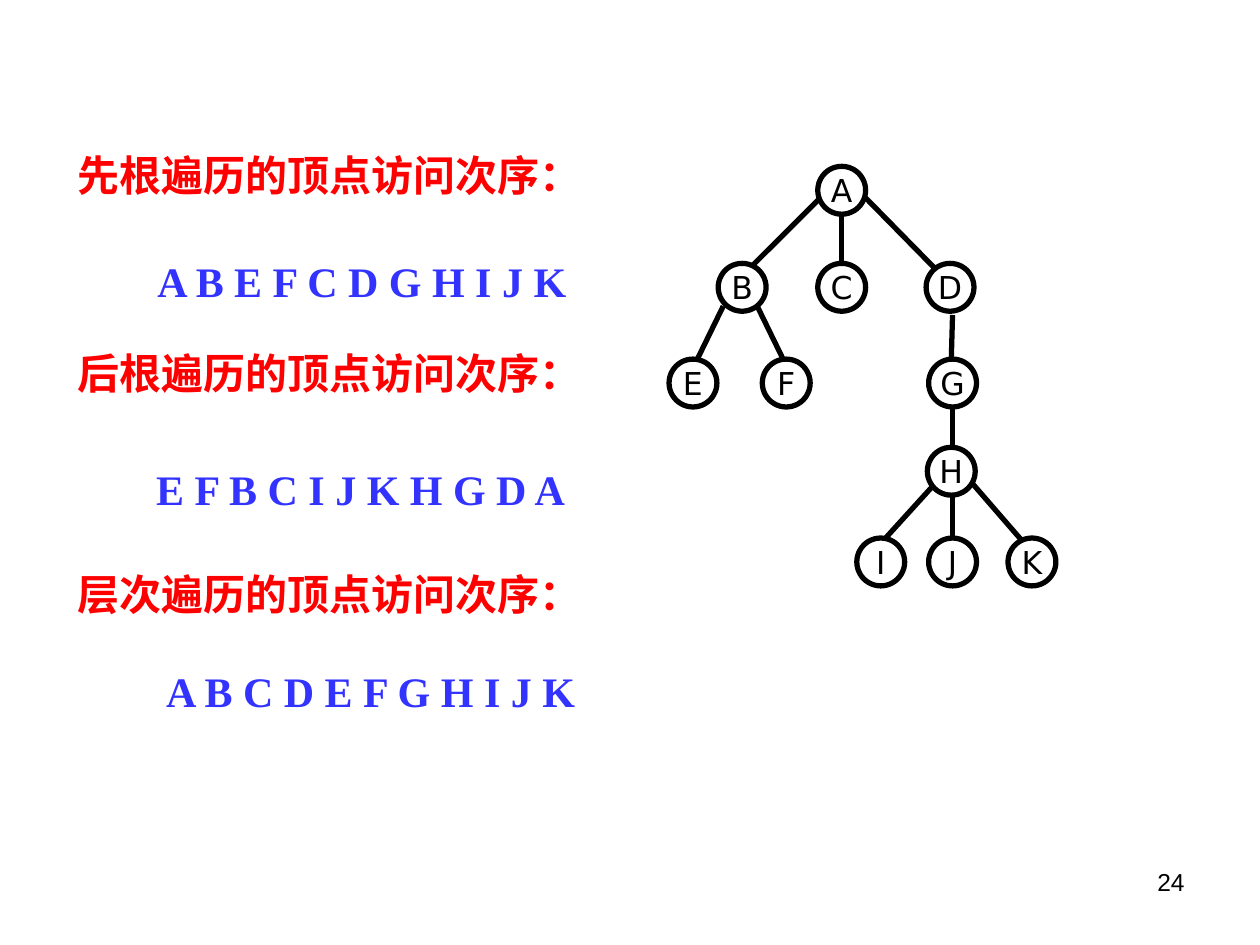
from dataclasses import dataclass
from typing import Any

from lxml.etree import SubElement
from pptx import Presentation
from pptx.dml.color import RGBColor
from pptx.enum.shapes import MSO_CONNECTOR, MSO_SHAPE
from pptx.enum.text import MSO_ANCHOR, PP_ALIGN
from pptx.oxml.ns import qn
from pptx.util import Emu, Inches, Pt

COLORS = {"ink": "000000", "heading": "FF0000", "sequence": "3333FF"}
COLUMNS, ROWS = 100, 75
NODE_SIZE = 3.8
HEADING_START = 5.2
EDGE_WIDTH = Pt(3)
FORMATS: dict[str, dict[str, Any]] = {
    "node": {"size": Pt(18), "name": "DejaVu Sans"},
    "heading": {"size": Pt(24), "name": "Times New Roman", "bold": True},
    "sequence": {"size": Pt(24), "name": "Times New Roman", "bold": True},
    "page": {"size": Pt(14), "name": "Arial"},
}


@dataclass(frozen=True)
class Node:
    label: str
    column: float
    row: float


@dataclass(frozen=True)
class Edge:
    start_column: float
    start_row: float
    end_column: float
    end_row: float


@dataclass(frozen=True)
class Label:
    text: str
    role: str
    column: float
    row: float
    width: float
    height: float = 5


NODES = [
    Node("A", 64.9, 13.2),
    Node("B", 57, 20.9), Node("C", 64.9, 20.9), Node("D", 73.5, 20.9),
    Node("E", 53.1, 28.5), Node("F", 60.5, 28.5), Node("G", 73.7, 28.5),
    Node("H", 73.6, 35.5),
    Node("I", 68, 42.7), Node("J", 73.7, 42.7), Node("K", 80, 42.7),
]
EDGES = [
    Edge(65, 15.8, 59.7, 21.1),
    Edge(66.8, 17, 66.8, 20.9),
    Edge(68.6, 15.6, 74.2, 21.3),
    Edge(57.4, 24.3, 55.3, 28.6),
    Edge(60.1, 24.3, 62.1, 28.4),
    Edge(75.6, 25, 75.5, 28.5),
    Edge(75.6, 32.2, 75.6, 35.5),
    Edge(74.1, 38.5, 70.2, 42.8),
    Edge(75.6, 39.2, 75.6, 42.7),
    Edge(77.2, 38.4, 81.1, 42.9),
]
LABELS = [
    Label("先根遍历的顶点访问次序：", "heading", 2.7, 11.4, 53.1),
    Label("A B E F C D G H I J K", "sequence", 11.5, 19.8, 34.8),
    Label("后根遍历的顶点访问次序：", "heading", 3.5, 27.1, 51.8),
    Label("E F B C I J K H G D A", "sequence", 11.4, 36.3, 34.8),
    Label("层次遍历的顶点访问次序：", "heading", 3.5, 44.6, 51.2),
    Label("A B C D E F G H I J K", "sequence", 12.2, 52.3, 34.8),
    Label("24", "page", 71.7, 68.3, 23.3, 5.2),
]

deck = Presentation()
deck.slide_width, deck.slide_height = Inches(10), Inches(7.5)
slide = deck.slides.add_slide(deck.slide_layouts[6])


def across(columns: float) -> Emu:
    return Emu(round(deck.slide_width * columns / COLUMNS))


def down(rows: float) -> Emu:
    return Emu(round(deck.slide_height * rows / ROWS))


def color(role: str) -> RGBColor:
    return RGBColor.from_string(COLORS.get(role, COLORS["ink"]))


def write(frame: Any, text: str, role: str) -> Any:
    paragraph = frame.paragraphs[0]
    run = paragraph.add_run()
    run.text = text
    for attribute, value in FORMATS[role].items():
        setattr(run.font, attribute, value)
    run.font.color.rgb = color(role)
    return paragraph


def draw_edge(edge: Edge) -> None:
    branch = slide.shapes.add_connector(
        MSO_CONNECTOR.STRAIGHT,
        across(edge.start_column), down(edge.start_row),
        across(edge.end_column), down(edge.end_row),
    )
    branch.line.width = EDGE_WIDTH
    branch.line.color.rgb = color("ink")
    SubElement(branch.element.spPr, qn("a:effectLst"))


def draw_node(node: Node) -> None:
    circle = slide.shapes.add_shape(
        MSO_SHAPE.OVAL, across(node.column), down(node.row),
        across(NODE_SIZE), down(NODE_SIZE),
    )
    circle.shadow.inherit = False
    circle.fill.background()
    circle.line.width = EDGE_WIDTH
    circle.line.color.rgb = color("ink")
    circle.text_frame.word_wrap = False
    circle.text_frame.vertical_anchor = MSO_ANCHOR.MIDDLE
    write(circle.text_frame, node.label, "node").alignment = PP_ALIGN.CENTER


def draw_label(label: Label) -> None:
    frame = slide.shapes.add_textbox(
        across(label.column), down(label.row),
        across(label.width), down(label.height),
    ).text_frame
    frame.word_wrap = label.role != "sequence"
    paragraph = write(frame, label.text, label.role)
    if label.role == "heading":
        indent = across(HEADING_START - label.column)
        paragraph._p.get_or_add_pPr().set("marL", str(indent))
    elif label.role == "page":
        paragraph.alignment = PP_ALIGN.RIGHT


for tree_node in NODES:
    draw_node(tree_node)
for tree_edge in EDGES:
    draw_edge(tree_edge)
for traversal_label in LABELS:
    draw_label(traversal_label)

deck.save("out.pptx")
